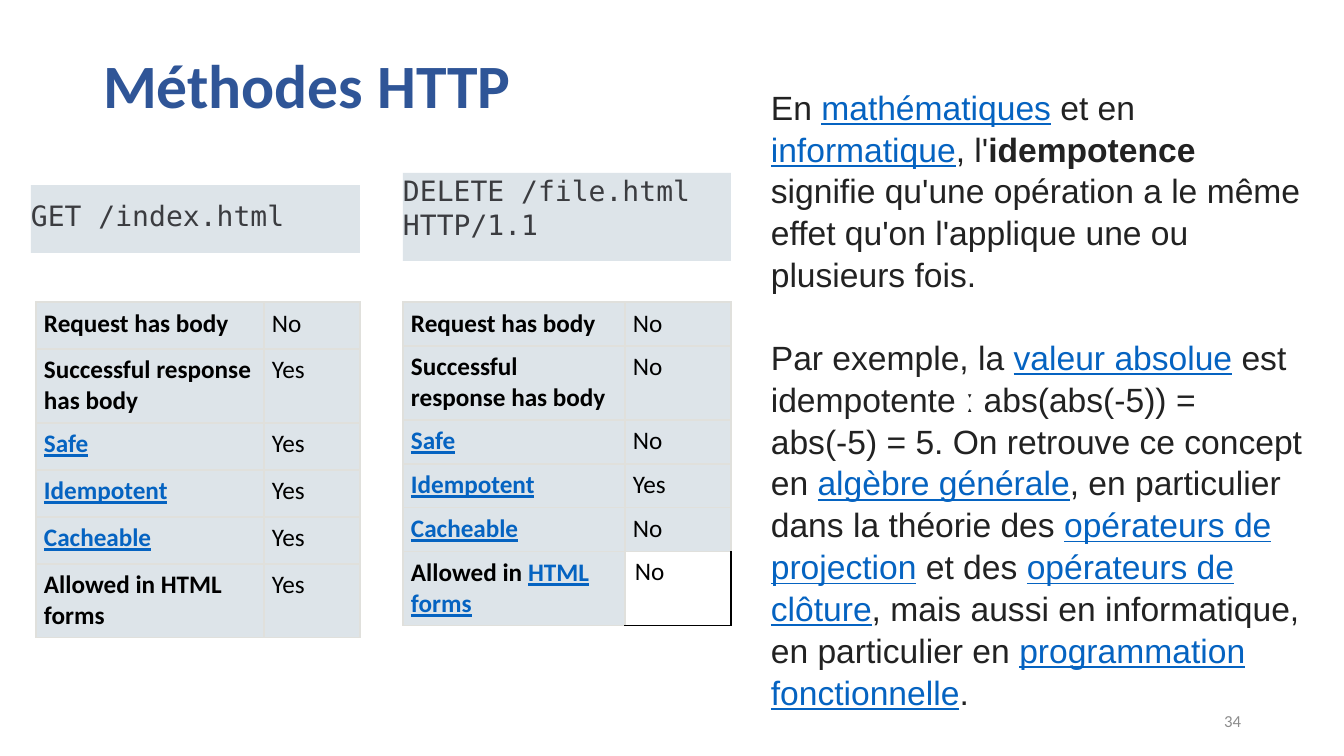
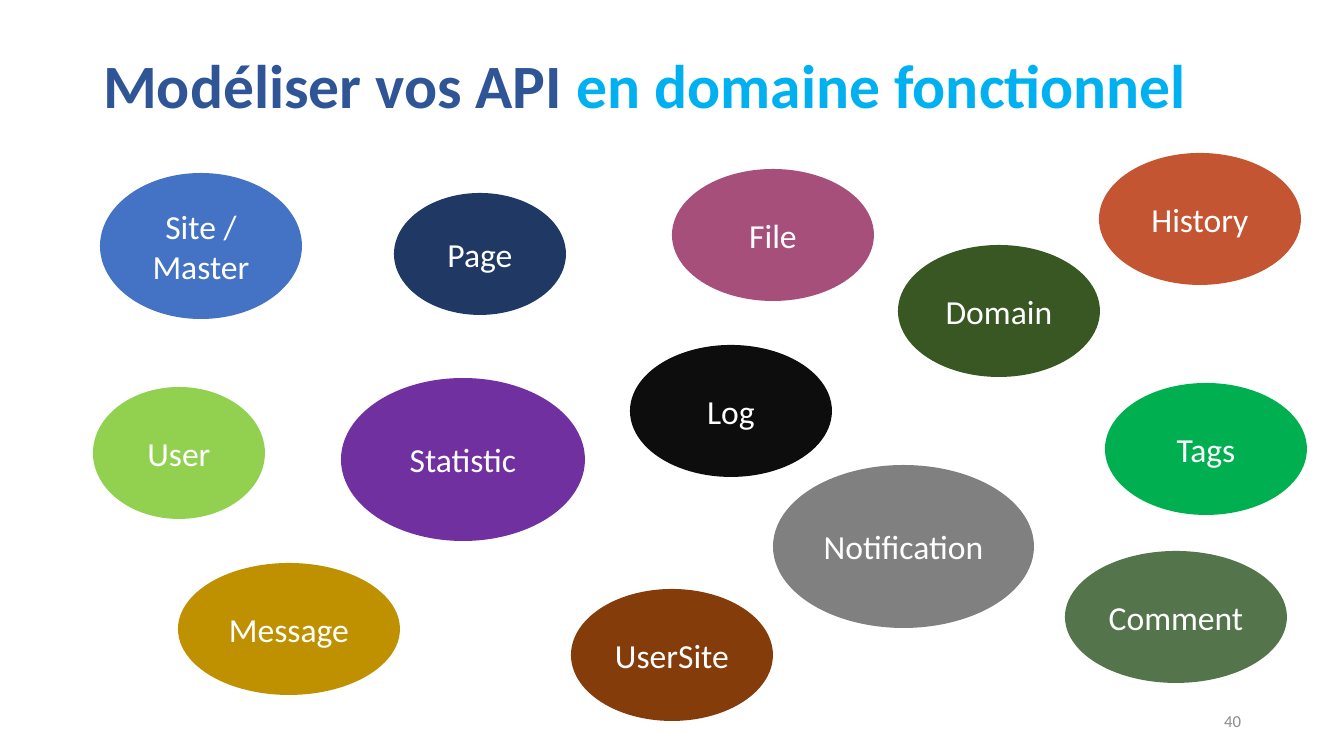
import pptx
import pptx.util
import pptx.dml.color
import pptx.enum.shapes
import pptx.enum.text
import pptx.oxml.ns
import lxml.etree

PX = 914400 / 100.8  # EMU per px


class Theme:
    navy, sky, link = "2F5597", "00B0F0", "0563C1"
    black, white = "000000", "FFFFFF"
    body, code, number = "222222", "3B3C40", "8C8C8C"
    panel, border = "DDE4E9", "E0E0DC"
    sans, prose, mono = "Calibri", "Arial", "DejaVu Sans Mono"
    title_size, text_size, code_size, cell_size, number_size = 44, 24, 20, 18, 12


def box(*lengths):
    return [round(length * PX) for length in lengths]


def write(paragraph, parts, font, size, colour, bold=False):
    """Add (text, kind) parts; kind is "", "bold", "link" or a colour."""
    for text, kind in parts:
        run = paragraph.add_run()
        run.text = text
        run.font.name = font
        run.font.size = pptx.util.Pt(size)
        run.font.bold = bold or kind == "bold"
        run.font.underline = kind == "link"
        shade = {"": colour, "bold": colour, "link": Theme.link}.get(kind, kind)
        run.font.color.rgb = pptx.dml.color.RGBColor.from_string(shade)


presentation = pptx.Presentation()
presentation.slide_width, presentation.slide_height = box(1344, 756)
middle = pptx.enum.text.MSO_ANCHOR.MIDDLE
align = pptx.enum.text.PP_ALIGN

# Titles and page numbers
headings = [
    ([("Méthodes HTTP", "")], "34"),
    ([("Modéliser vos API ", ""), ("en domaine fonctionnel", Theme.sky)], "40"),
]
slides = []
for title_parts, page in headings:
    slide = presentation.slides.add_slide(presentation.slide_layouts[5])
    slides.append(slide)
    title = slide.shapes.title
    title.left, title.top, title.width, title.height = box(93, 16, 1159, 146)
    title.text_frame.vertical_anchor = middle
    paragraph = title.text_frame.paragraphs[0]
    paragraph.alignment = align.LEFT
    paragraph.line_spacing = 0.9
    write(paragraph, title_parts, Theme.sans, Theme.title_size, Theme.navy, True)

    number = slide.shapes.add_textbox(*box(949, 701, 302, 40))
    number.text_frame.word_wrap = True
    number.text_frame.vertical_anchor = middle
    paragraph = number.text_frame.paragraphs[0]
    paragraph.alignment = align.RIGHT
    write(paragraph, [(page, "")], Theme.sans, Theme.number_size, Theme.number)

methods_slide, domain_slide = slides

# Request lines: position, bottom inset, text
requests = [
    ((31, 185, 329, 68), 8, "GET /index.html"),
    ((403, 173, 328, 88), 20, "DELETE /file.html HTTP/1.1"),
]
for position, bottom_inset, text in requests:
    shape = methods_slide.shapes.add_shape(
        pptx.enum.shapes.MSO_SHAPE.RECTANGLE, *box(*position))
    shape.shadow.inherit = False
    shape.fill.solid()
    shape.fill.fore_color.rgb = pptx.dml.color.RGBColor.from_string(Theme.panel)
    shape.line.fill.background()
    frame = shape.text_frame
    frame.word_wrap = True
    frame.vertical_anchor = middle
    frame.margin_left = frame.margin_right = frame.margin_top = 0
    frame.margin_bottom = box(bottom_inset)[0]
    frame.paragraphs[0].alignment = align.LEFT
    write(frame.paragraphs[0], [(text, "")], Theme.mono, Theme.code_size, Theme.code)

# Method properties: position, column widths, row height, last label, answers
labels = [
    [("Request has body", "")],
    [("Successful response has body", "")],
    [("Safe", "link")],
    [("Idempotent", "link")],
    [("Cacheable", "link")],
]
wrapped_rows, wrapped_height = (1, 5), 74
tables = [
    ((403, 302), (222, 106), 44, [("Allowed in ", ""), ("HTML forms", "link")],
     ["No", "No", "No", "Yes", "No", "No"]),
    ((36, 302), (228, 96), 47, [("Allowed in HTML forms", "")],
     ["No", "Yes", "Yes", "Yes", "Yes", "Yes"]),
]
for position, widths, row_height, last_label, answers in tables:
    heights = [wrapped_height if row in wrapped_rows else row_height for row in range(6)]
    table = methods_slide.shapes.add_table(
        6, 2, *box(*position, sum(widths), sum(heights))).table
    table.first_row = table.horz_banding = False
    for column, width in zip(table.columns, box(*widths)):
        column.width = width
    for row, height in zip(table.rows, box(*heights)):
        row.height = height
    for row, (label, answer) in enumerate(zip(labels + [last_label], answers)):
        for column, parts in enumerate((label, [(answer, "")])):
            cell = table.cell(row, column)
            write(cell.text_frame.paragraphs[0], parts, Theme.sans, Theme.cell_size,
                  Theme.black, column == 0)
            # The last DELETE answer is unfilled, with a black outer edge
            plain = (row, column) == (5, 1) and table is not None and len(last_label) == 2
            horizontal, vertical = box(10, 5) if plain else box(8, 6)
            cell.margin_left = cell.margin_right = horizontal
            cell.margin_top = cell.margin_bottom = vertical
            if plain:
                cell.fill.background()
            else:
                cell.fill.solid()
                cell.fill.fore_color.rgb = pptx.dml.color.RGBColor.from_string(Theme.panel)
            properties = cell._tc.get_or_add_tcPr()
            for index, side in enumerate(("lnL", "lnR", "lnT", "lnB")):
                line = lxml.etree.Element(pptx.oxml.ns.qn("a:" + side), w="12700")
                fill = lxml.etree.SubElement(line, pptx.oxml.ns.qn("a:solidFill"))
                colour = Theme.black if plain and side in ("lnR", "lnB") else Theme.border
                lxml.etree.SubElement(fill, pptx.oxml.ns.qn("a:srgbClr"), val=colour)
                properties.insert(index, line)

# Explanation of idempotence
explanation = [
    [("En ", ""), ("mathématiques", "link"), (" et en ", ""), ("informatique", "link"),
     (", l'", ""), ("idempotence", "bold"),
     (" signifie qu'une opération a le même effet qu'on l'applique une ou plusieurs fois.", "")],
    [("Par exemple, la ", ""), ("valeur absolue", "link"),
     (" est idempotente ː abs(abs(-5)) = abs(-5) = 5. On retrouve ce concept en ", ""),
     ("algèbre générale", "link"), (", en particulier dans la théorie des ", ""),
     ("opérateurs de projection", "link"), (" et des ", ""),
     ("opérateurs de clôture", "link"),
     (", mais aussi en informatique, en particulier en ", ""),
     ("programmation fonctionnelle", "link"), (".", "")],
]
frame = methods_slide.shapes.add_textbox(*box(761, 80, 552, 621)).text_frame
frame.word_wrap = True
for index, parts in enumerate(explanation):
    paragraph = frame.add_paragraph() if index else frame.paragraphs[0]
    paragraph.line_spacing = 1.04
    paragraph.space_before = pptx.util.Pt(29 * index)
    write(paragraph, parts, Theme.prose, Theme.text_size, Theme.body)

# Functional domains: name, colour, position
domains = [
    ("Site / Master", "4472C4", (100, 173, 202, 146)),
    ("User", "92D050", (93, 387, 172, 132)),
    ("Page", "203864", (394, 193, 172, 122)),
    ("Statistic", "7030A0", (341, 378, 244, 163)),
    ("Message", "BF9000", (178, 563, 222, 132)),
    ("Domain", "385723", (898, 245, 202, 132)),
    ("Log", "0D0D0D", (630, 345, 202, 132)),
    ("UserSite", "843C0B", (571, 589, 202, 132)),
    ("Notification", "808080", (773, 465, 261, 163)),
    ("File", "A74F7B", (672, 169, 202, 132)),
    ("Tags", "00B050", (1105, 383, 202, 132)),
    ("History", "C35533", (1099, 153, 202, 132)),
    ("Comment", "54744C", (1065, 551, 222, 132)),
]
for name, colour, position in domains:
    shape = domain_slide.shapes.add_shape(
        pptx.enum.shapes.MSO_SHAPE.OVAL, *box(*position))
    shape.shadow.inherit = False
    shape.fill.solid()
    shape.fill.fore_color.rgb = pptx.dml.color.RGBColor.from_string(colour)
    shape.line.fill.background()
    shape.text_frame.word_wrap = True
    shape.text_frame.vertical_anchor = middle
    paragraph = shape.text_frame.paragraphs[0]
    paragraph.alignment = align.CENTER
    write(paragraph, [(name, "")], Theme.sans, Theme.text_size, Theme.white)

presentation.save("out.pptx")
